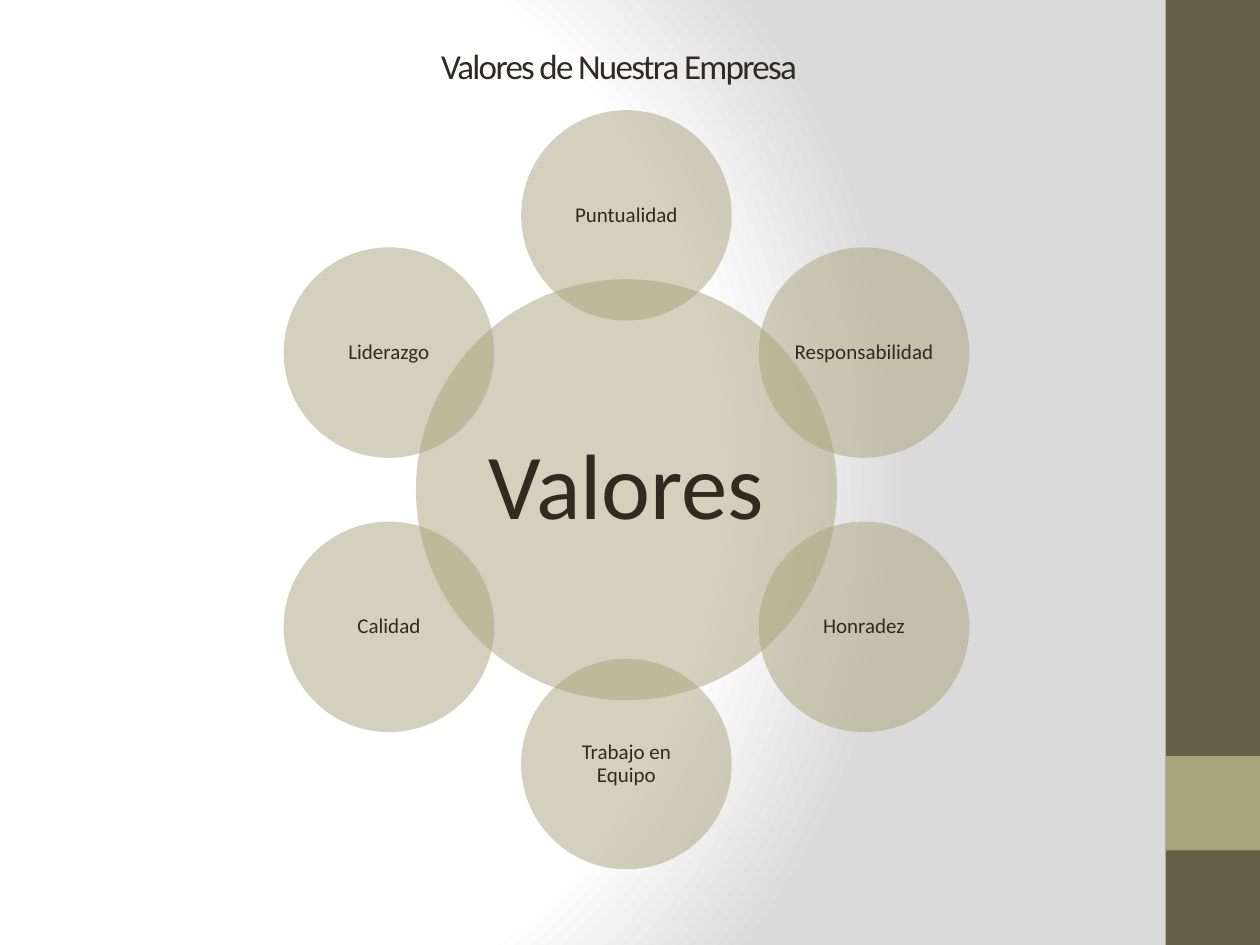
"""Builds a slide showing six company values around a central circle."""
from math import cos, radians, sin

from pptx import Presentation
from pptx.dml.color import RGBColor
from pptx.enum.shapes import MSO_SHAPE
from pptx.enum.text import MSO_ANCHOR, PP_ALIGN
from pptx.oxml import parse_xml
from pptx.oxml.ns import nsdecls, qn
from pptx.util import Pt

TITLE = "Valores de Nuestra Empresa"
HUB = "Valores"
VALUES = ["Puntualidad", "Responsabilidad", "Honradez",
          "Trabajo en Equipo", "Calidad", "Liderazgo"]

INK = RGBColor(0x2F, 0x2B, 0x20)
OLIVE = RGBColor(0xA9, 0xA5, 0x7C)
BROWN = RGBColor(0x67, 0x5E, 0x47)
GRADIENT = [(0, "FFFFFF"), (75, "FFFFFF"), (100, "DADADA")]

WIDTH, HEIGHT = 720, 540
BAND_LEFT, BAND_WIDTH = 666, 54
CENTER_X, CENTER_Y = 358, 279.85
ORBIT = 156.75
HUB_SIZE, VALUE_SIZE = 240.6, 120.3


def apply(target, formats):
    for name, value in formats.items():
        setattr(target, name, value)


def add_filled(slide, kind, left, top, width, height, color):
    shape = slide.shapes.add_shape(kind, Pt(left), Pt(top), Pt(width), Pt(height))
    shape.shadow.inherit = False
    shape.fill.solid()
    shape.fill.fore_color.rgb = color
    shape.line.fill.background()
    return shape


def write(shape, text, size, inset_x, inset_y, **paragraph_formats):
    frame = shape.text_frame
    apply(frame, {"word_wrap": True, "vertical_anchor": MSO_ANCHOR.MIDDLE,
                  "margin_left": Pt(inset_x), "margin_right": Pt(inset_x),
                  "margin_top": Pt(inset_y), "margin_bottom": Pt(inset_y)})
    paragraph = frame.paragraphs[0]
    apply(paragraph, paragraph_formats)
    run = paragraph.add_run()
    run.text = text
    apply(run.font, {"name": "Calibri", "size": Pt(size)})
    run.font.color.rgb = INK
    return run


def add_circle(slide, text, x, y, diameter, size, inset):
    circle = add_filled(slide, MSO_SHAPE.OVAL, x - diameter / 2, y - diameter / 2,
                        diameter, diameter, OLIVE)
    tint = circle.element.spPr.find(f"{qn('a:solidFill')}/{qn('a:srgbClr')}")
    tint.append(parse_xml(f'<a:alpha {nsdecls("a")} val="50000"/>'))
    write(circle, text, size, inset, inset, alignment=PP_ALIGN.CENTER, line_spacing=0.9)


def paint_background(slide):
    slide.background.fill.gradient()
    old = slide.element.find(f".//{qn('a:gradFill')}")
    stops = "".join(f'<a:gs pos="{place * 1000}"><a:srgbClr val="{color}"/></a:gs>'
                    for place, color in GRADIENT)
    old.getparent().replace(old, parse_xml(
        f'<a:gradFill {nsdecls("a")} rotWithShape="1"><a:gsLst>{stops}</a:gsLst>'
        '<a:path path="circle"><a:fillToRect l="20000" t="50000" r="100000" b="50000"/>'
        '</a:path></a:gradFill>'))


def main():
    deck = Presentation()
    apply(deck, {"slide_width": Pt(WIDTH), "slide_height": Pt(HEIGHT)})
    slide = deck.slides.add_slide(deck.slide_layouts[6])
    paint_background(slide)

    for top, height, color in [(0, HEIGHT, BROWN), (432, BAND_WIDTH, OLIVE)]:
        add_filled(slide, MSO_SHAPE.RECTANGLE, BAND_LEFT, top, BAND_WIDTH, height, color)

    title = slide.shapes.add_textbox(Pt(245), Pt(21.6), Pt(226), Pt(31.7))
    run = write(title, TITLE, 20, 7.2, 3.6)
    run.font._element.set("spc", "-100")

    add_circle(slide, HUB, CENTER_X, CENTER_Y, HUB_SIZE, 53, 5)
    for index, value in enumerate(VALUES):
        angle = radians(360 / len(VALUES) * index - 90)
        add_circle(slide, value, CENTER_X + ORBIT * cos(angle),
                   CENTER_Y + ORBIT * sin(angle), VALUE_SIZE, 12, 1.2)

    deck.save("out.pptx")


if __name__ == "__main__":
    main()
